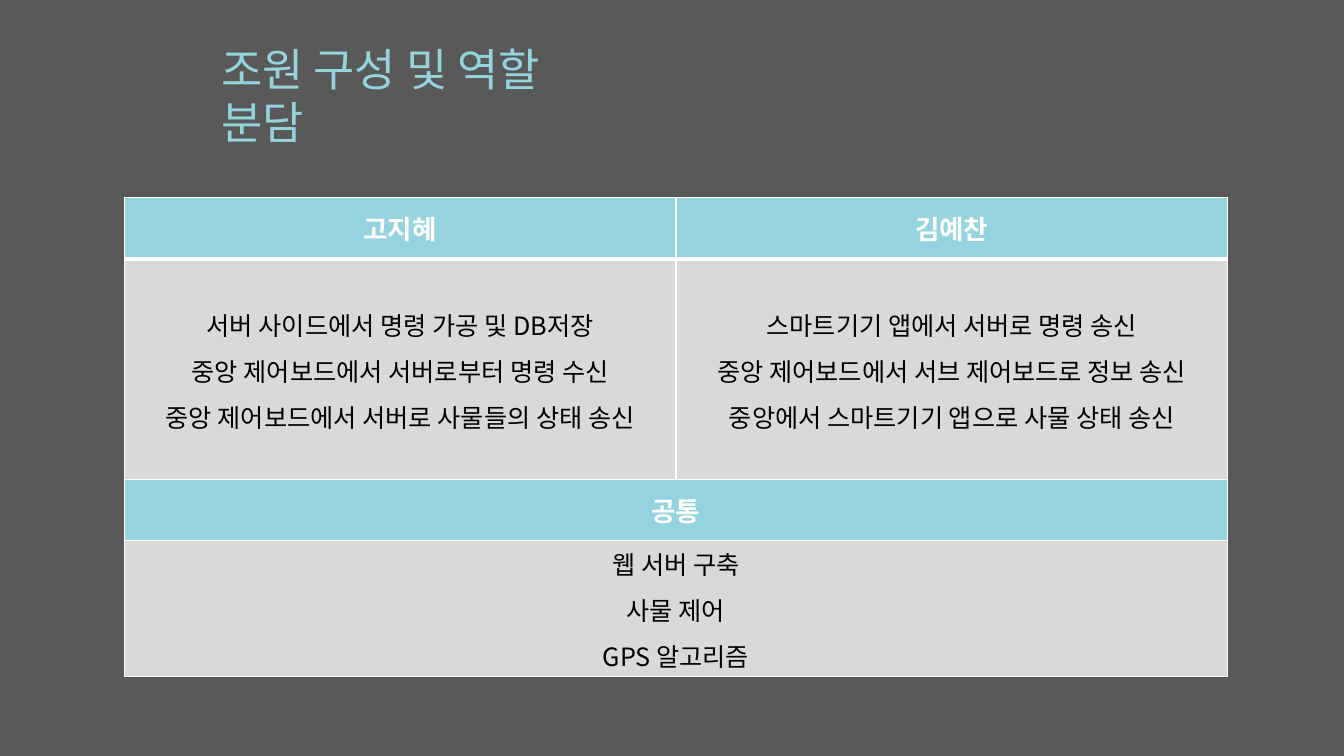
"""Build a slide that shows the team members and their roles."""
import dataclasses

import lxml.etree
import pptx
import pptx.dml.color
import pptx.enum.shapes
import pptx.enum.text
import pptx.oxml.ns
import pptx.util

Pt = pptx.util.Pt
qn = pptx.oxml.ns.qn


@dataclasses.dataclass(frozen=True)
class Theme:
    """Hold the colours, font and type sizes."""
    back: str = "595959"
    accent: str = "95D3DF"
    panel: str = "D9D9D9"
    light: str = "FFFFFF"
    dark: str = "000000"
    font: str = "Noto Sans CJK KR"
    title: float = 32
    head: float = 19
    body: float = 18


THEME = Theme()
COLS = [394, 394]
ROWS = [44, 157.5, 43.5, 97.5]
PAIRS = [
    ("고지혜", ["서버 사이드에서 명령 가공 및 DB저장",
             "중앙 제어보드에서 서버로부터 명령 수신",
             "중앙 제어보드에서 서버로 사물들의 상태 송신"]),
    ("김예찬", ["스마트기기 앱에서 서버로 명령 송신",
             "중앙 제어보드에서 서브 제어보드로 정보 송신",
             "중앙에서 스마트기기 앱으로 사물 상태 송신"]),
]
SHARED = ("공통", ["웹 서버 구축", "사물 제어", "GPS 알고리즘"])


def paint(fill, tint):
    """Give a fill one solid colour."""
    fill.solid()
    fill.fore_color.rgb = pptx.dml.color.RGBColor.from_string(tint)


def style(para, size, tint, bold=False):
    """Set the font of a paragraph for Latin and Korean text."""
    font = para.font
    font.size, font.bold, font.name = Pt(size), bold, THEME.font
    paint(font.fill, tint)
    props = para._p.get_or_add_pPr().find(qn("a:defRPr"))
    latin = props.find(qn("a:latin"))
    asian = lxml.etree.Element(qn("a:ea"), typeface=THEME.font)
    latin.addnext(asian)


def border(cell, top, base):
    """Draw the four cell borders, with given top and base widths."""
    props = cell._tc.get_or_add_tcPr()
    for side, width in zip("LRTB", (1, 1, top, base)):
        line = lxml.etree.SubElement(props, qn(f"a:ln{side}"), w=str(Pt(width)))
        fill = lxml.etree.SubElement(line, qn("a:solidFill"))
        lxml.etree.SubElement(fill, qn("a:srgbClr"), val=THEME.light)


def write(cell, lines, head):
    """Write a heading or a list of tasks in a cell."""
    cell.vertical_anchor = pptx.enum.text.MSO_ANCHOR.MIDDLE
    cell.margin_left = cell.margin_right = Pt(5)
    cell.margin_top = cell.margin_bottom = Pt(1.4)
    cell.text = "\n".join(lines)
    for para in cell.text_frame.paragraphs:
        para.alignment = pptx.enum.text.PP_ALIGN.CENTER
        if head:
            style(para, THEME.head, THEME.light, True)
        else:
            para.line_spacing, para.space_after = 1.07, Pt(5)
            style(para, THEME.body, THEME.dark)


def add_back(slide, width, height):
    """Cover the slide with the back colour."""
    shape = slide.shapes.add_shape(
        pptx.enum.shapes.MSO_SHAPE.RECTANGLE, 0, 0, width, height)
    shape.shadow.inherit = False
    paint(shape.fill, THEME.back)
    shape.line.fill.background()


def add_title(slide, text):
    """Add the slide title."""
    box = slide.shapes.add_textbox(Pt(151), Pt(26), Pt(304), Pt(46))
    frame = box.text_frame
    frame.word_wrap = True
    frame.auto_size = pptx.enum.text.MSO_AUTO_SIZE.SHAPE_TO_FIT_TEXT
    frame.text = text
    style(frame.paragraphs[0], THEME.title, THEME.accent)


def add_roles(slide):
    """Add the table of own and shared tasks."""
    table = slide.shapes.add_table(
        len(ROWS), len(COLS), Pt(88.8), Pt(141), Pt(sum(COLS)), Pt(sum(ROWS))).table
    for col, width in zip(table.columns, COLS):
        col.width = Pt(width)
    for row, height in zip(table.rows, ROWS):
        row.height = Pt(height)
    for num, row in enumerate(table.rows):
        for cell in row.cells:
            border(cell, 3 if num == 1 else 1, 3 if num == 0 else 1)
            paint(cell.fill, THEME.panel if num % 2 else THEME.accent)
    for num in (2, 3):
        table.cell(num, 0).merge(table.cell(num, 1))
    spots = [(0, 0, PAIRS[0]), (0, 1, PAIRS[1]), (2, 0, SHARED)]
    for row, col, (name, tasks) in spots:
        write(table.cell(row, col), [name], True)
        write(table.cell(row + 1, col), tasks, False)


def main():
    """Build and save the deck."""
    deck = pptx.Presentation()
    deck.slide_width, deck.slide_height = Pt(960), Pt(540)
    slide = deck.slides.add_slide(deck.slide_layouts[6])
    add_back(slide, deck.slide_width, deck.slide_height)
    add_title(slide, "조원 구성 및 역할 분담")
    add_roles(slide)
    deck.save("out.pptx")


main()
